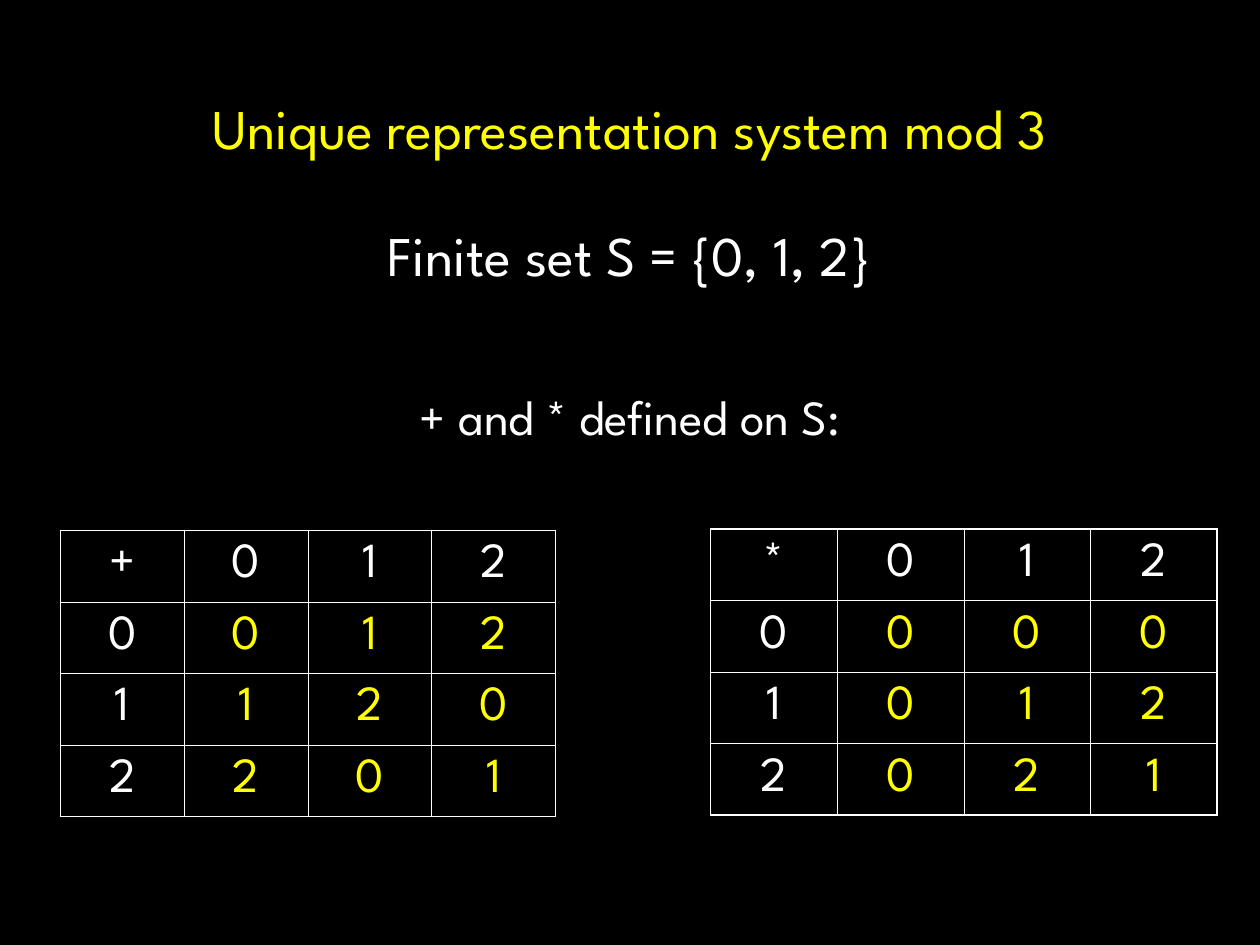
from lxml import etree
from pptx import Presentation
from pptx.dml.color import RGBColor
from pptx.enum.text import MSO_ANCHOR, PP_ALIGN
from pptx.oxml.ns import qn
from pptx.util import Inches, Pt

CENTER = PP_ALIGN.CENTER
TOP = MSO_ANCHOR.TOP
MIDDLE = MSO_ANCHOR.MIDDLE

BLACK = RGBColor(0x00, 0x00, 0x00)
WHITE = RGBColor(0xFF, 0xFF, 0xFF)
YELLOW = RGBColor(0xFF, 0xFF, 0x00)

FONT = "League Spartan"
WIDTH, HEIGHT = 10, 7.5
MODULUS = 3
TITLE_ONLY = 5
OUTER, INNER = Pt(1.08), Pt(0.45)


def place(shape, left, top, width, height):
    shape.left, shape.top = Inches(left), Inches(top)
    shape.width, shape.height = Inches(width), Inches(height)


def write(paragraph, text, size, color):
    paragraph.alignment = CENTER
    run = paragraph.add_run()
    run.text = text
    run.font.name = FONT
    run.font.size = Pt(size)
    run.font.bold = False
    run.font.color.rgb = color


def add_title(slide, text, left, top, width, height):
    title = slide.shapes.title
    place(title, left, top, width, height)
    title.text_frame.word_wrap = True
    title.text_frame.vertical_anchor = TOP
    paragraph = title.text_frame.paragraphs[0]
    paragraph.line_spacing = 1.0
    paragraph.space_before = Pt(0)
    write(paragraph, text, 32, YELLOW)


def add_statements(slide, statements, gap, left, top, width, height):
    box = slide.shapes.add_textbox(
        Inches(left), Inches(top), Inches(width), Inches(height))
    frame = box.text_frame
    frame.word_wrap = True
    for index, (text, size) in enumerate(statements):
        paragraph = frame.add_paragraph() if index else frame.paragraphs[0]
        paragraph.line_spacing = 0.9
        if index:
            paragraph.space_before = Pt(gap)
        write(paragraph, text, size, WHITE)


def set_borders(cell, row, column, last):
    edges = {"a:lnL": column == 0, "a:lnR": column == last,
             "a:lnT": row == 0, "a:lnB": row == last}
    properties = cell._tc.get_or_add_tcPr()
    for position, (tag, is_outer) in enumerate(edges.items()):
        line = etree.Element(qn(tag), w=str(OUTER if is_outer else INNER))
        fill = etree.SubElement(line, qn("a:solidFill"))
        etree.SubElement(fill, qn("a:srgbClr"), val=str(WHITE))
        properties.insert(position, line)


def operation_rows(symbol, operation):
    residues = range(MODULUS)
    return [[symbol, *residues]] + [
        [a, *(operation(a, b) % MODULUS for b in residues)] for a in residues]


def add_operation_table(slide, symbol, operation, left, top, width, height):
    rows = operation_rows(symbol, operation)
    count = len(rows)
    table = slide.shapes.add_table(
        count, count, Inches(left), Inches(top),
        Inches(width), Inches(height)).table
    table.first_row = False
    table.horz_banding = False
    for row, values in enumerate(rows):
        for column, value in enumerate(values):
            cell = table.cell(row, column)
            cell.fill.solid()
            cell.fill.fore_color.rgb = BLACK
            cell.vertical_anchor = MIDDLE
            cell.margin_left = cell.margin_right = Inches(0.3)
            cell.margin_top = cell.margin_bottom = Inches(0.05)
            color = YELLOW if row and column else WHITE
            write(cell.text_frame.paragraphs[0], str(value), 28, color)
            set_borders(cell, row, column, count - 1)


def main():
    presentation = Presentation()
    presentation.slide_width = Inches(WIDTH)
    presentation.slide_height = Inches(HEIGHT)
    slide = presentation.slides.add_slide(
        presentation.slide_layouts[TITLE_ONLY])
    slide.background.fill.solid()
    slide.background.fill.fore_color.rgb = BLACK

    margin = 0.073 * WIDTH
    content_width = WIDTH - 2 * margin
    add_title(slide, "Unique representation system mod 3",
              margin, 0.69, content_width, 0.63)
    add_statements(
        slide, [("Finite set S = {0, 1, 2}", 32), ("+ and * defined on S:", 28)],
        60, margin, 1.76, content_width, 1.84)

    add_operation_table(slide, "+", lambda a, b: a + b, 0.48, 4.21, 3.93, 2.27)
    add_operation_table(slide, "*", lambda a, b: a * b, 5.64, 4.2, 4.02, 2.27)
    presentation.save("out.pptx")


if __name__ == "__main__":
    main()
